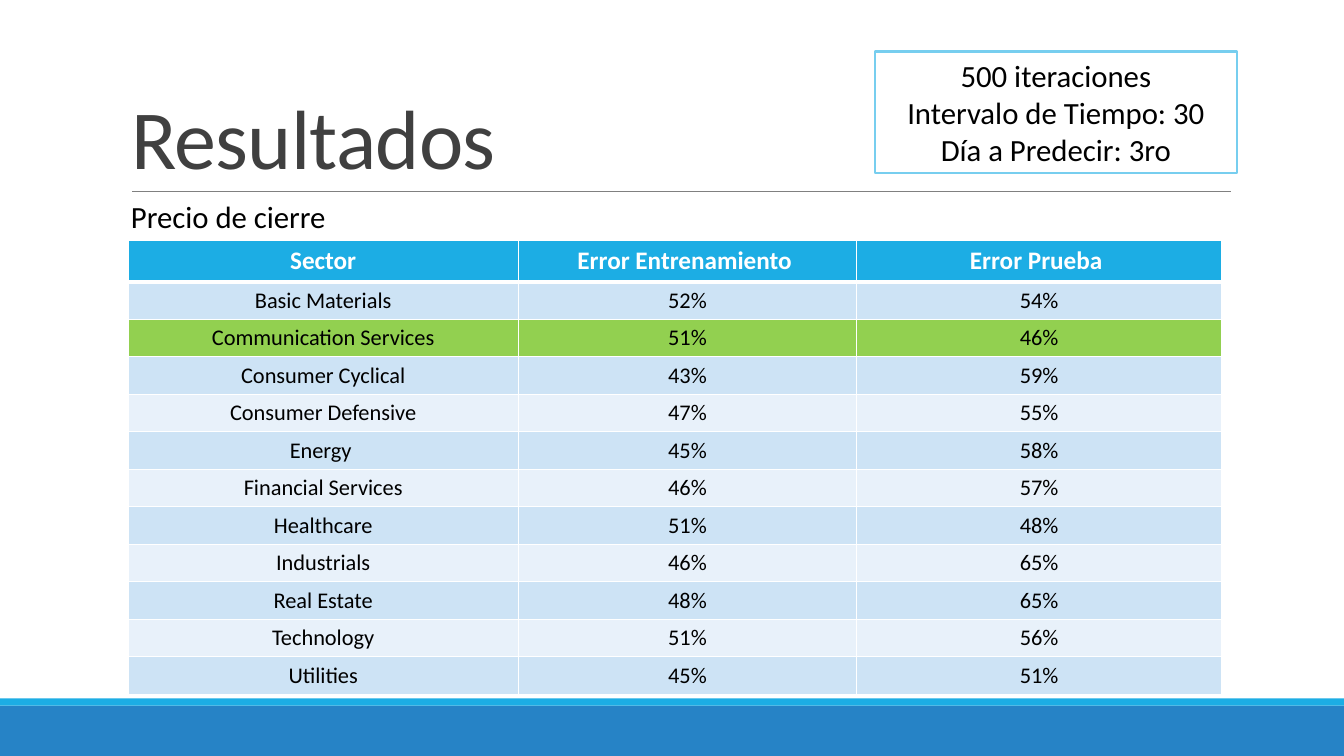
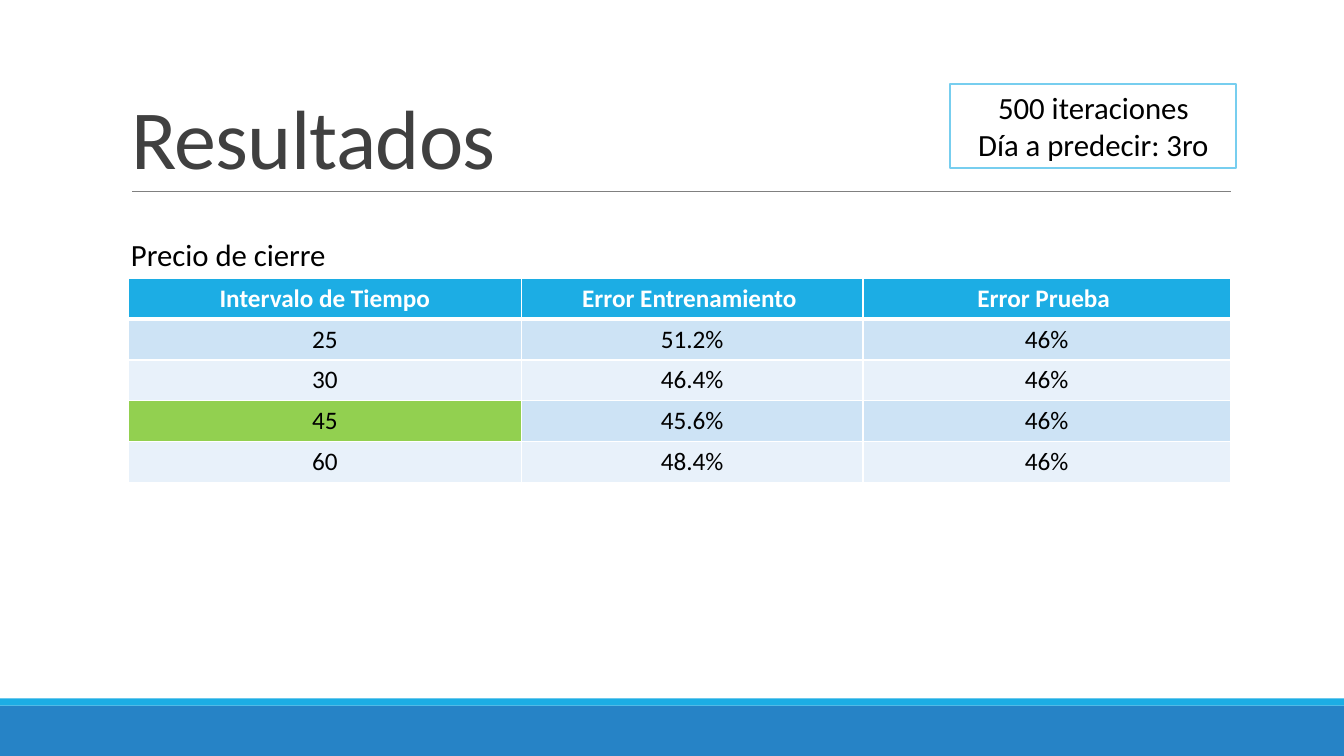
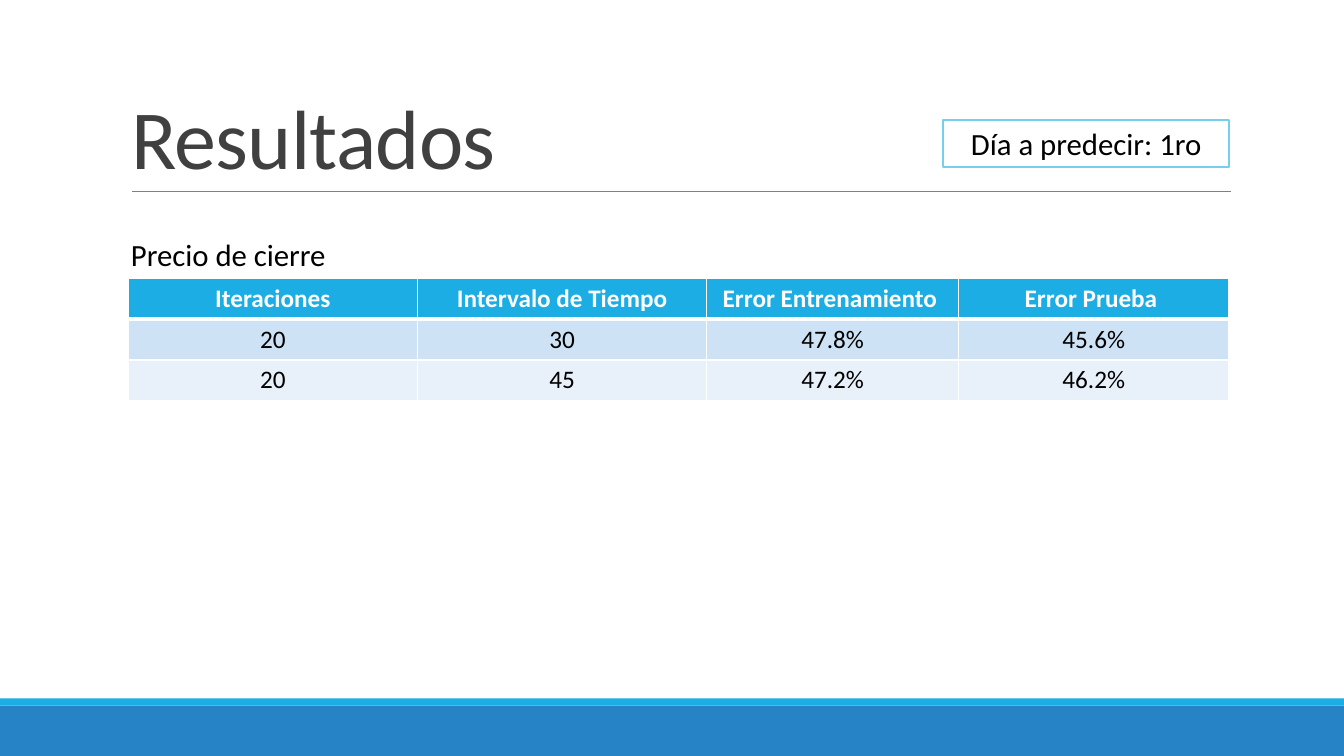
from dataclasses import dataclass, field

from lxml import etree
from pptx import Presentation
from pptx.dml.color import RGBColor
from pptx.enum.shapes import MSO_CONNECTOR, MSO_SHAPE
from pptx.enum.text import MSO_ANCHOR, MSO_AUTO_SIZE, PP_ALIGN
from pptx.oxml.ns import qn
from pptx.util import Cm, Pt

RECT = MSO_SHAPE.RECTANGLE
LINE = MSO_CONNECTOR.STRAIGHT
LEFT, MID = PP_ALIGN.LEFT, PP_ALIGN.CENTER
BOTTOM, FIXED = MSO_ANCHOR.BOTTOM, MSO_AUTO_SIZE.NONE

# Colours and type
BLUE = RGBColor(0x26, 0x83, 0xC6)
CYAN = RGBColor(0x1C, 0xAD, 0xE4)
SKY = RGBColor(0x77, 0xCE, 0xEF)
DARK = RGBColor(0xCD, 0xE3, 0xF5)
PALE = RGBColor(0xE8, 0xF1, 0xFA)
GREEN = RGBColor(0x92, 0xD0, 0x50)
GREY = RGBColor(0x80, 0x80, 0x80)
INK = RGBColor(0x40, 0x40, 0x40)
BLACK = RGBColor(0, 0, 0)
WHITE = RGBColor(255, 255, 255)
FONT = "Calibri"

# Shared measures, in centimetres
WIDTH, HEIGHT = 33.87, 19.05
MARGIN = 3.05
GRID_LEFT = 3.23
HEAD_ROW = 1.03
CAPTION_GAP = 1.2


@dataclass
class Band:
    top: float
    height: float
    color: RGBColor


@dataclass
class Note:
    left: float
    top: float
    width: float
    height: float
    lines: list[str]


@dataclass
class Grid:
    top: float
    cols: list[float]
    rows: list[list[str]]
    height: float = HEAD_ROW
    size: int = 18
    marks: set[tuple[int, int]] = field(default_factory=set)


BANDS = [Band(17.78, 1.27, BLUE), Band(17.6, 0.18, CYAN)]
ERRORS = ["Error Entrenamiento ", "Error Prueba "]

PAGES = [
    (
        Note(22.05, 1.3, 9.12, 3.07,
             ["500 iteraciones", "Intervalo de Tiempo: 30", "Día a Predecir: 3ro"]),
        Grid(6.07, [9.83, 8.53, 9.19], [
            ["Sector", *ERRORS],
            ["Basic Materials", "52%", "54%"],
            ["Communication Services", "51%", "46%"],
            ["Consumer Cyclical", "43%", "59%"],
            ["Consumer Defensive", "47%", "55%"],
            ["Energy ", "45%", "58%"],
            ["Financial Services", "46%", "57%"],
            ["Healthcare", "51%", "48%"],
            ["Industrials", "46%", "65%"],
            ["Real Estate", "48%", "65%"],
            ["Technology", "51%", "56%"],
            ["Utilities", "45%", "51%"],
        ], height=0.94, size=16, marks={(2, 0), (2, 1), (2, 2)}),
    ),
    (
        Note(23.95, 2.11, 7.21, 2.13, ["500 iteraciones", "Día a predecir: 3ro"]),
        Grid(7.01, [9.91, 8.61, 9.25], [
            ["Intervalo de Tiempo", *ERRORS],
            ["25", "51.2%", "46%"],
            ["30", "46.4%", "46%"],
            ["45", "45.6%", "46%"],
            ["60", "48.4%", "46%"],
        ], marks={(3, 0)}),
    ),
    (
        Note(23.77, 3.02, 7.21, 1.19, ["Día a predecir: 1ro"]),
        Grid(7.01, [7.29, 7.29, 6.35, 6.81], [
            ["Iteraciones", "Intervalo de Tiempo", *ERRORS],
            ["20", "30", "47.8%", "45.6%"],
            ["20", "45", "47.2%", "46.2%"],
        ]),
    ),
]


def write(frame, lines: list[str], *, size: int = 22, color: RGBColor = BLACK,
          bold: bool = False, align=LEFT, pitch: float = 1.0) -> None:
    """Fill a text frame, one paragraph a line."""
    frame.word_wrap = True
    for i, line in enumerate(lines):
        para = frame.add_paragraph() if i else frame.paragraphs[0]
        para.alignment = align
        para.line_spacing = pitch
        run = para.add_run()
        run.text = line
        run.font.name = FONT
        run.font.size = Pt(size)
        run.font.bold = bold
        run.font.color.rgb = color


def add_base(slide) -> None:
    """Draw the bands and the rule, then move them to the layout."""
    tree = slide.slide_layout.shapes.element
    for band in BANDS:
        bar = slide.shapes.add_shape(RECT, 0, Cm(band.top), Cm(WIDTH), Cm(band.height))
        bar.shadow.inherit = False
        bar.fill.solid()
        bar.fill.fore_color.rgb = band.color
        bar.line.fill.background()
        tree.append(bar.element)
    rule = slide.shapes.add_connector(LINE, Cm(3.33), Cm(4.83), Cm(31.01), Cm(4.83))
    rule.line.color.rgb = GREY
    rule.line.width = Pt(0.5)
    etree.SubElement(rule.element.spPr, qn("a:effectLst"))
    tree.append(rule.element)


def add_title(slide, text: str) -> None:
    title = slide.shapes.title
    title.left, title.top = Cm(MARGIN), Cm(0.79)
    title.width, title.height = Cm(27.94), Cm(4.04)
    frame = title.text_frame
    frame.auto_size = FIXED
    frame.vertical_anchor = BOTTOM
    write(frame, [text], size=60, color=INK, pitch=0.85)
    for props in title.element.iter(qn("a:rPr")):
        props.set("spc", "-50")


def add_note(slide, note: Note) -> None:
    box = slide.shapes.add_shape(RECT, Cm(note.left), Cm(note.top),
                                 Cm(note.width), Cm(note.height))
    box.shadow.inherit = False
    box.fill.background()
    box.line.color.rgb = SKY
    box.line.width = Pt(1.5)
    write(box.text_frame, note.lines, align=MID)


def add_edges(cell, row: int) -> None:
    """White borders, thicker below the header."""
    props = cell._tc.get_or_add_tcPr()
    wide = {"lnB": 3} if row == 0 else {"lnT": 3} if row == 1 else {}
    for side in ("lnL", "lnR", "lnT", "lnB"):
        edge = etree.SubElement(props, qn(f"a:{side}"), w=str(Pt(wide.get(side, 1))))
        fill = etree.SubElement(edge, qn("a:solidFill"))
        etree.SubElement(fill, qn("a:srgbClr"), val=str(WHITE))


def add_grid(slide, grid: Grid) -> None:
    high = HEAD_ROW + grid.height * (len(grid.rows) - 1)
    table = slide.shapes.add_table(len(grid.rows), len(grid.cols), Cm(GRID_LEFT),
                                   Cm(grid.top), Cm(sum(grid.cols)), Cm(high)).table
    table.horz_banding = False
    for col, width in zip(table.columns, grid.cols):
        col.width = Cm(width)
    for r, row in enumerate(grid.rows):
        head = r == 0
        table.rows[r].height = Cm(HEAD_ROW if head else grid.height)
        tint = CYAN if head else DARK if r % 2 else PALE
        for c, text in enumerate(row):
            cell = table.cell(r, c)
            add_edges(cell, r)
            cell.fill.solid()
            cell.fill.fore_color.rgb = GREEN if (r, c) in grid.marks else tint
            write(cell.text_frame, [text], size=18 if head else grid.size,
                  color=WHITE if head else BLACK, bold=head, align=MID)


def add_label(slide, text: str, top: float) -> None:
    box = slide.shapes.add_textbox(Cm(MARGIN), Cm(top), Cm(19.63), Cm(1.19))
    write(box.text_frame, [text])


def main() -> None:
    deck = Presentation()
    deck.slide_width, deck.slide_height = Cm(WIDTH), Cm(HEIGHT)
    layout = deck.slide_layouts.get_by_name("Title Only")
    for i, (note, grid) in enumerate(PAGES):
        slide = deck.slides.add_slide(layout)
        if i == 0:
            add_base(slide)
        add_title(slide, "Resultados")
        add_grid(slide, grid)
        add_label(slide, "Precio de cierre", grid.top - CAPTION_GAP)
        add_note(slide, note)
    deck.save("out.pptx")


if __name__ == "__main__":
    main()
